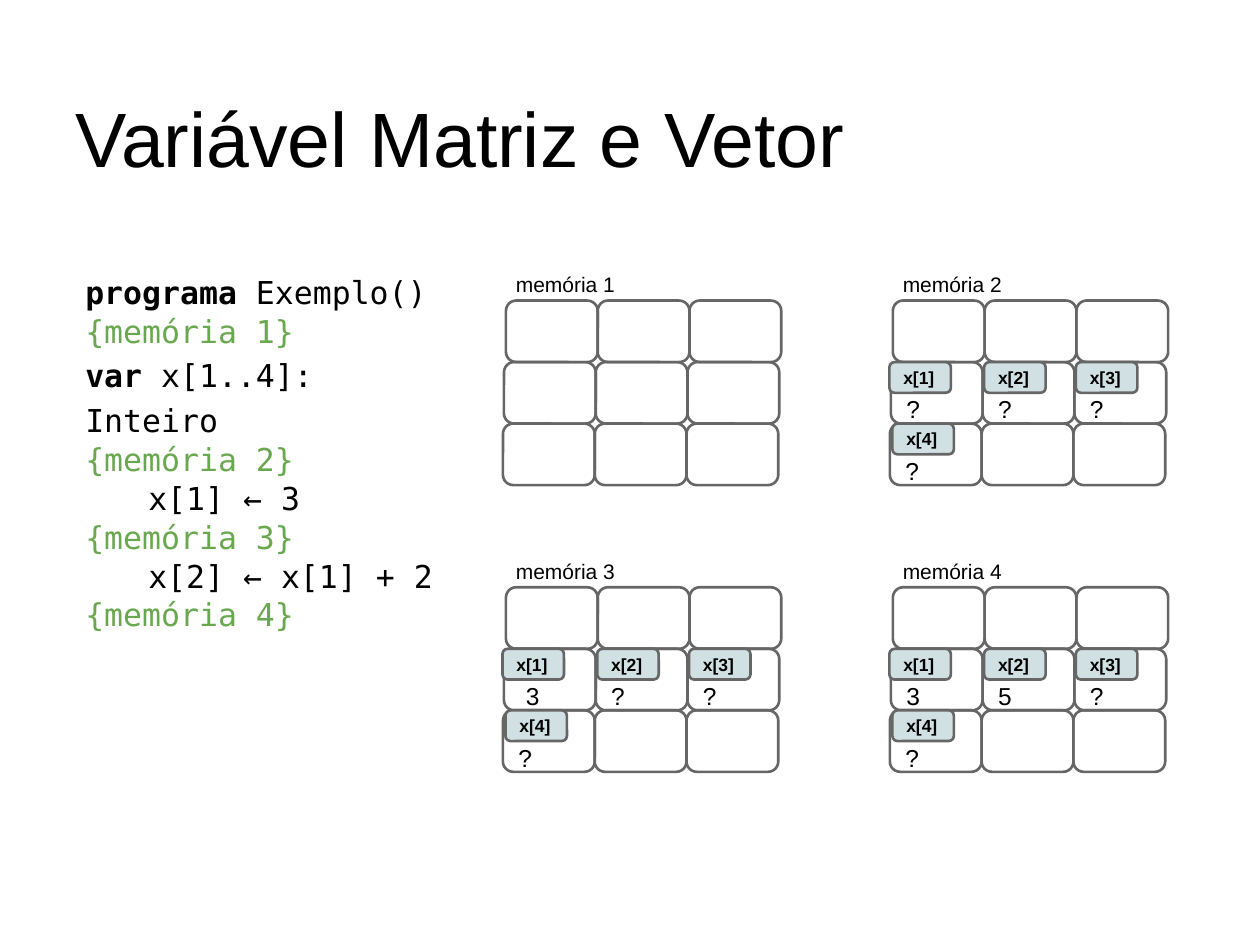
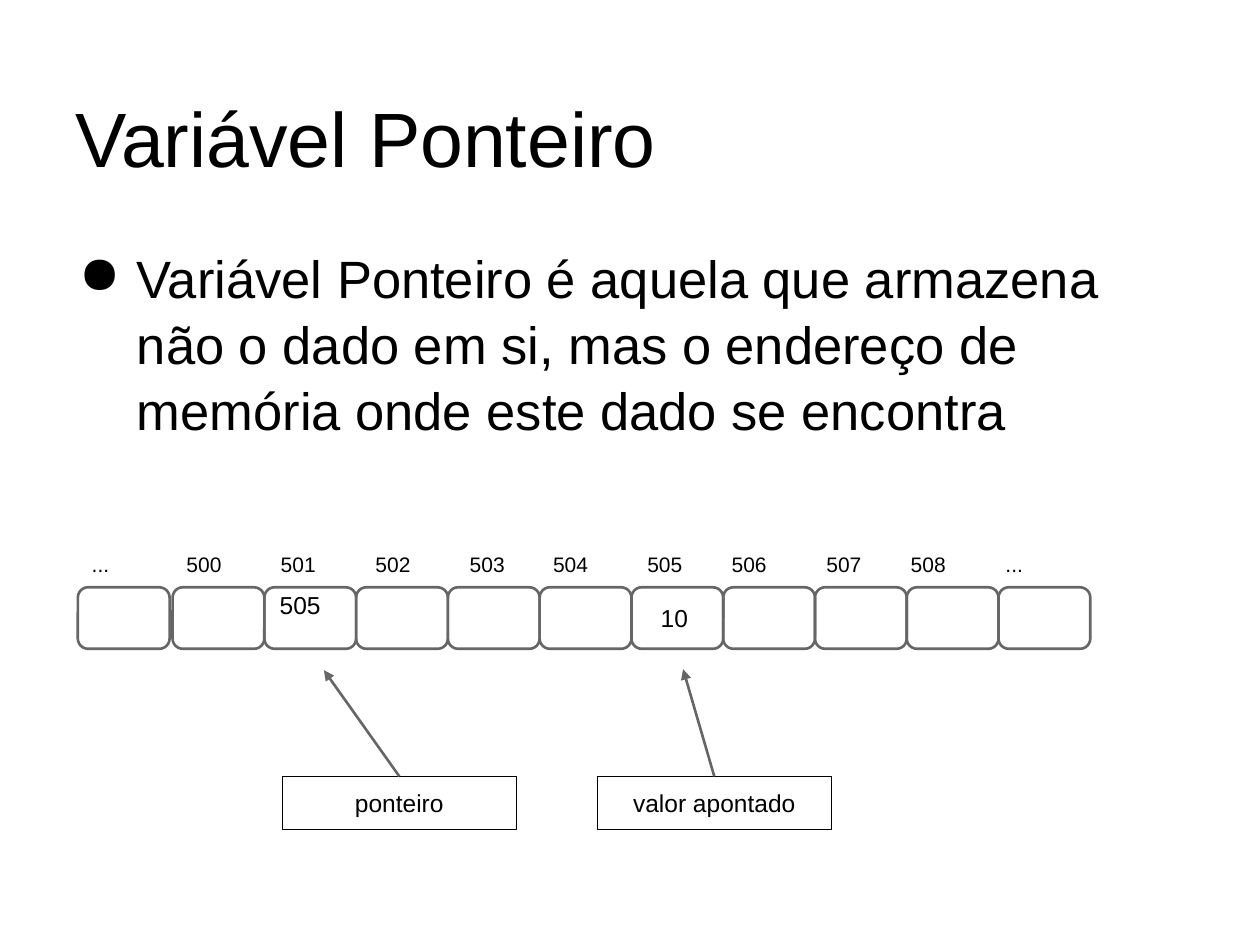
from lxml import etree
from pptx import Presentation
from pptx.dml.color import RGBColor
from pptx.enum.shapes import MSO_CONNECTOR, MSO_SHAPE
from pptx.enum.text import MSO_ANCHOR as ANCHOR, PP_ALIGN as ALIGN
from pptx.oxml.ns import qn
from pptx.util import Cm, Pt

BLACK = RGBColor(0x00, 0x00, 0x00)
GRAY = RGBColor(0x66, 0x66, 0x66)
GREEN = RGBColor(0x6A, 0xA8, 0x4F)
PALE_BLUE = RGBColor(0xD0, 0xE0, 0xE3)
SANS, MONO = "Arial", "DejaVu Sans Mono"
INSET = 0.25
CELL_WIDTH, CELL_HEIGHT = 1.85, 1.24


def add_text(box, text, size, bold=False, align=ALIGN.LEFT, anchor=ANCHOR.MIDDLE,
             left=INSET, top=INSET, bottom=INSET):
    """Write one paragraph into a box; the insets are in centimetres."""
    frame = box.text_frame
    frame.word_wrap = True
    frame.vertical_anchor = anchor
    frame.margin_left, frame.margin_right = Cm(left), Cm(INSET)
    frame.margin_top, frame.margin_bottom = Cm(top), Cm(bottom)
    para = frame.paragraphs[0]
    para.alignment = align
    span = para.add_run()
    span.text = text
    span.font.name, span.font.size, span.font.bold = SANS, Pt(size), bold
    span.font.color.rgb = BLACK
    return para


def add_box(page, left, top, width=CELL_WIDTH, height=CELL_HEIGHT, fill=None,
            preset=MSO_SHAPE.ROUNDED_RECTANGLE, color=GRAY, weight=1.5):
    box = page.shapes.add_shape(preset, Cm(left), Cm(top), Cm(width), Cm(height))
    box.shadow.inherit = False
    if fill is None:
        box.fill.background()
    else:
        box.fill.solid()
        box.fill.fore_color.rgb = fill
    box.line.color.rgb = color
    box.line.width = Pt(weight)
    return box


deck = Presentation()
deck.slide_width, deck.slide_height = Cm(25.4), Cm(19.05)

# Pages with the shared title style
pages = []
for title in ("Variável Matriz e Vetor", "Variável Ponteiro"):
    page = deck.slides.add_slide(deck.slide_layouts[6])
    box = page.shapes.add_textbox(Cm(1.27), Cm(0.76), Cm(22.86), Cm(3.18))
    add_text(box, title, 44, anchor=ANCHOR.BOTTOM)
    pages.append(page)
array_page, pointer_page = pages

# Program listing: indent in cm, line spacing, then (text, bold, colour) runs
code_lines = [
    (0, 1.03, [("programa ", True, BLACK), ("Exemplo()", False, BLACK)]),
    (0, 1.03, [("{memória 1}", False, GREEN)]),
    (0, 1.18, [("var", True, BLACK), (" x[1..4]: Inteiro", False, BLACK)]),
    (0, 1.03, [("{memória 2}", False, GREEN)]),
    (1.27, 1.03, [("x[1] ← 3", False, BLACK)]),
    (0, 1.03, [("{memória 3}", False, GREEN)]),
    (1.27, 1.03, [("x[2] ← x[1] + 2", False, BLACK)]),
    (0, 1.03, [("{memória 4}", False, GREEN)]),
]
box = array_page.shapes.add_textbox(Cm(1.47), Cm(5.23), Cm(7.57), Cm(11.51))
frame = box.text_frame
frame.word_wrap = True
frame.margin_left = frame.margin_right = Cm(INSET)
frame.margin_top = frame.margin_bottom = Cm(INSET)
for number, (indent, spacing, spans) in enumerate(code_lines):
    para = frame.add_paragraph() if number else frame.paragraphs[0]
    para.line_spacing = spacing
    if indent:
        para._p.get_or_add_pPr().set("indent", str(Cm(indent)))
    for text, bold, color in spans:
        span = para.add_run()
        span.text = text
        span.font.name, span.font.size, span.font.bold = MONO, Pt(18), bold
        span.font.color.rgb = color

# Memory grids: left, top and the values of x[1] to x[4]
memories = [
    (10.17, 6.06, ""),
    (17.97, 6.06, "????"),
    (10.17, 11.84, "3???"),
    (17.97, 11.84, "35??"),
]
row_shifts = (0.03, -0.01, -0.03)
tag_shifts = (-0.03, 0.03, 0.03, 0.05)
for number, (grid_left, grid_top, values) in enumerate(memories, 1):
    label = array_page.shapes.add_textbox(
        Cm(grid_left - 0.02), Cm(grid_top - 0.83), Cm(4.04), Cm(0.79))
    add_text(label, f"memória {number}", 12, anchor=ANCHOR.TOP)

    corners = [(grid_left + shift + column * CELL_WIDTH, grid_top + row * CELL_HEIGHT)
               for row, shift in enumerate(row_shifts) for column in range(3)]
    cells = [add_box(array_page, left, top) for left, top in corners]

    # The vector starts in the second row, at the fourth cell
    for index, value in enumerate(values):
        value_left = 0.38 if (number, index) == (3, 0) else INSET
        add_text(cells[3 + index], value, 14, left=value_left, top=0.66, bottom=0)
        left, top = corners[3 + index]
        tag = add_box(array_page, left + tag_shifts[index], top, 1.24, 0.62, PALE_BLUE)
        add_text(tag, f"x[{index + 1}]", 10, bold=True)

# Definition with a bullet
box = pointer_page.shapes.add_textbox(Cm(1.24), Cm(4.65), Cm(22.89), Cm(4.62))
para = add_text(box, "Variável Ponteiro é aquela que armazena não o dado em si, mas o "
                "endereço de memória onde este dado se encontra", 30, anchor=ANCHOR.TOP)
para.line_spacing = 1.05
properties = para._p.get_or_add_pPr()
properties.set("marL", str(Cm(1.27)))
properties.set("indent", str(Cm(-1.17)))
etree.SubElement(properties, qn("a:buChar")).set("char", "●")

# Memory strip with the addresses above it
addresses = [
    ("...", 1.6), ("500", 3.51), ("501", 5.41), ("502", 7.32), ("503", 9.22), ("504", 10.9),
    ("505", 12.8), ("506", 14.5), ("507", 16.41), ("508", 18.11), ("...", 20.02),
]
for index, (address, label_left) in enumerate(addresses):
    cell_left = 3.48 + (index - 1) * CELL_WIDTH if index else 1.57
    cell = add_box(pointer_page, cell_left, 11.84)
    if address == "501":
        add_text(cell, "505", 14, top=0, bottom=0.53)
    elif address == "505":
        add_text(cell, "10", 14, left=0.53)
    label = pointer_page.shapes.add_textbox(Cm(label_left), Cm(10.9), Cm(1.85), Cm(0.94))
    add_text(label, address, 12)

# Captions with arrows to their cells
for caption, left, tip_x, tip_y in (("ponteiro", 5.69, 6.53, 13.51),
                                    ("valor apontado", 12.04, 13.77, 13.49)):
    box = add_box(pointer_page, left, 15.65, 4.72, 1.07,
                  preset=MSO_SHAPE.RECTANGLE, color=BLACK, weight=0.75)
    add_text(box, caption, 14, align=ALIGN.CENTER)
    arrow = pointer_page.shapes.add_connector(
        MSO_CONNECTOR.STRAIGHT, Cm(left + 2.36), Cm(15.65), Cm(tip_x), Cm(tip_y))
    arrow.line.color.rgb = GRAY
    arrow.line.width = Pt(1.5)
    etree.SubElement(arrow.line._get_or_add_ln(), qn("a:tailEnd")).set("type", "triangle")
    etree.SubElement(arrow._element.spPr, qn("a:effectLst"))

deck.save("out.pptx")
